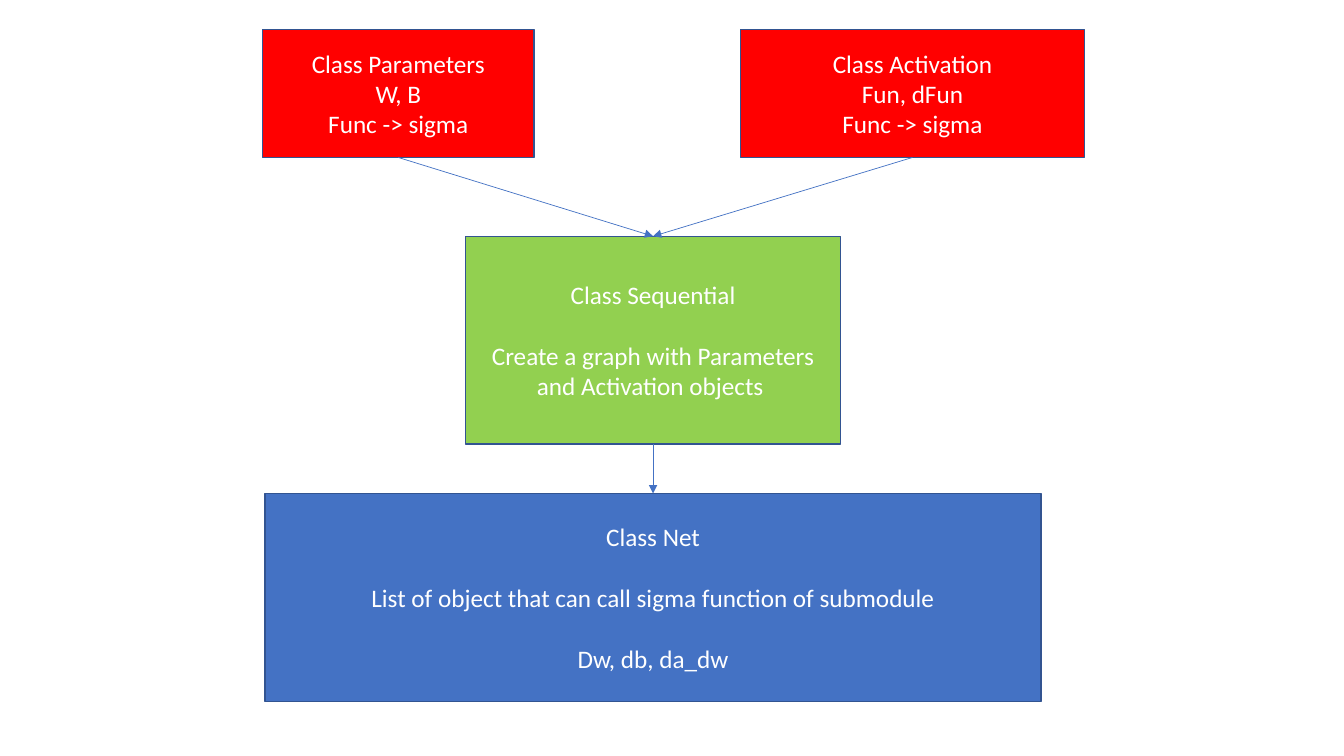
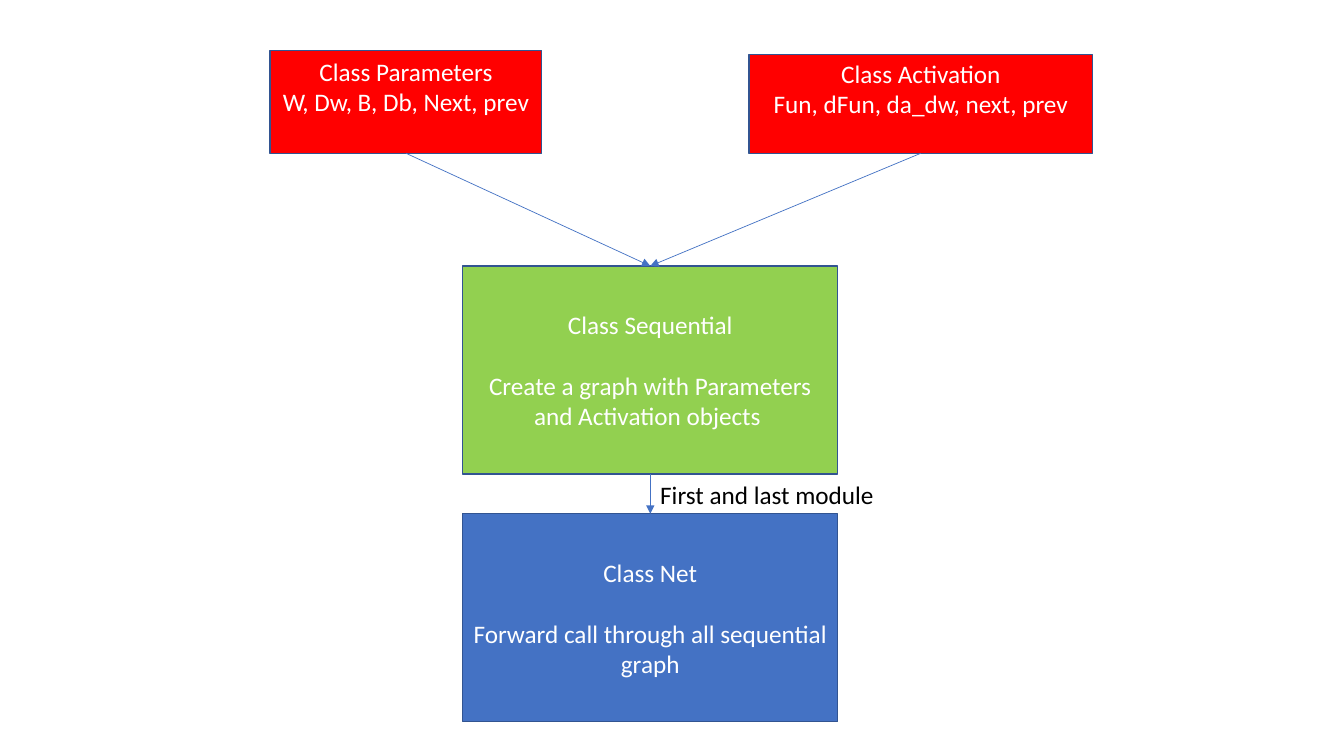
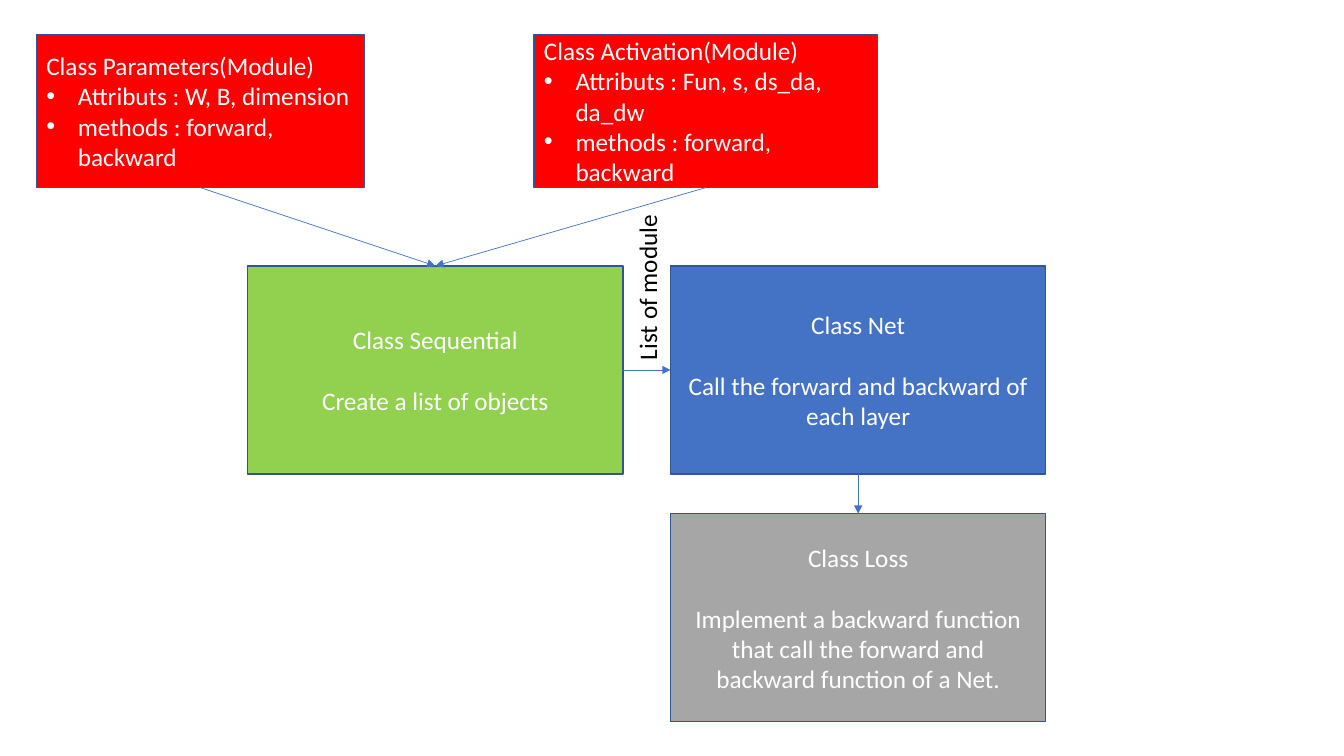
"""Builds three class diagrams of a small neural network library."""
from lxml import etree
from pptx import Presentation
from pptx.dml.color import RGBColor
from pptx.enum.shapes import MSO_CONNECTOR, MSO_SHAPE
from pptx.enum.text import MSO_ANCHOR, MSO_AUTO_SIZE, PP_ALIGN
from pptx.oxml.ns import qn
from pptx.util import Pt

RECTANGLE = MSO_SHAPE.RECTANGLE
STRAIGHT = MSO_CONNECTOR.STRAIGHT
MIDDLE = MSO_ANCHOR.MIDDLE
FIT_SHAPE = MSO_AUTO_SIZE.SHAPE_TO_FIT_TEXT
LEFT, CENTER = PP_ALIGN.LEFT, PP_ALIGN.CENTER

RED = RGBColor(0xFF, 0x00, 0x00)
GREEN = RGBColor(0x92, 0xD0, 0x50)
BLUE = RGBColor(0x44, 0x72, 0xC4)
GRAY = RGBColor(0xA6, 0xA6, 0xA6)
OUTLINE = RGBColor(0x32, 0x54, 0x91)
WHITE = RGBColor(0xFF, 0xFF, 0xFF)
BLACK = RGBColor(0x00, 0x00, 0x00)

FONT = "Calibri"
FONT_SIZE = 18
LINE_HEIGHT = 22
INSET = 3.6
BULLET_INDENT = 22.5
TOP, SIDE_LEFT, BOTTOM, SIDE_RIGHT = range(4)

BOX_WIDTH, BOX_HEIGHT = 268, 148.5
PARAMETERS_WIDTH, ACTIVATION_WIDTH = 194, 245.5
ROW_TOP, LOWER_ROW_TOP = 190, 367
GRAPH_TEXT = ["Class Sequential", "Create a graph with Parameters and Activation objects "]


def add_box(slide, bounds, fill, lines, gap=0, bottom_inset=INSET, bulleted=False):
    shape = slide.shapes.add_shape(RECTANGLE, *map(Pt, bounds))
    shape.shadow.inherit = False
    shape.fill.solid()
    shape.fill.fore_color.rgb = fill
    shape.line.color.rgb = OUTLINE
    shape.line.width = Pt(1)
    frame = shape.text_frame
    frame.word_wrap = True
    frame.vertical_anchor = MIDDLE
    frame.margin_bottom = Pt(bottom_inset)
    for index, line in enumerate(lines):
        paragraph = frame.add_paragraph() if index else frame.paragraphs[0]
        paragraph.text = line
        paragraph.alignment = LEFT if bulleted else CENTER
        if index:
            paragraph.space_before = Pt(gap)
        if index and bulleted:
            properties = paragraph._p.get_or_add_pPr()
            properties.set("marL", str(Pt(BULLET_INDENT)))
            properties.set("indent", str(-Pt(BULLET_INDENT)))
            etree.SubElement(properties, qn("a:buFont"), typeface="Arial")
            etree.SubElement(properties, qn("a:buChar"), char="•")
        paragraph.font.name = FONT
        paragraph.font.size = Pt(FONT_SIZE)
        paragraph.font.color.rgb = WHITE
    return shape


def add_arrow(slide, source, target, source_side=BOTTOM, target_side=TOP):
    connector = slide.shapes.add_connector(STRAIGHT, 0, 0, 0, 0)
    connector.begin_connect(source, source_side)
    connector.end_connect(target, target_side)
    connector.line.color.rgb = BLUE
    connector.line.width = Pt(0.5)
    etree.SubElement(connector.line._get_or_add_ln(), qn("a:tailEnd"), type="triangle")
    etree.SubElement(connector._element.spPr, qn("a:effectLst"))


presentation = Presentation()
presentation.slide_width = Pt(960)
presentation.slide_height = Pt(540)
blank_layout = presentation.slide_layouts[6]
first, second, third = [presentation.slides.add_slide(blank_layout) for _ in range(3)]

parameters = add_box(first, (187.5, 21, PARAMETERS_WIDTH, 91.5), RED,
                     ["Class Parameters", "W, B", "Func -> sigma"])
activation = add_box(first, (529, 21, ACTIVATION_WIDTH, 91.5), RED,
                     ["Class Activation", "Fun, dFun", "Func -> sigma"])
sequential = add_box(first, (332.5, 168.75, BOX_WIDTH, BOX_HEIGHT), GREEN, GRAPH_TEXT, LINE_HEIGHT)
net = add_box(first, (189.25, 352.5, 554.5, BOX_HEIGHT), BLUE,
              ["Class Net", "List of object that can call sigma function of submodule",
               "Dw, db, da_dw"], LINE_HEIGHT)
for source, target in ((parameters, sequential), (activation, sequential), (sequential, net)):
    add_arrow(first, source, target)

parameters = add_box(second, (193, 36, PARAMETERS_WIDTH, 73.5), RED,
                     ["Class Parameters", "W, Dw, B, Db, Next, prev"],
                     bottom_inset=INSET + LINE_HEIGHT)
activation = add_box(second, (535, 39, ACTIVATION_WIDTH, 70.5), RED,
                     ["Class Activation", "Fun, dFun, da_dw, next, prev"],
                     bottom_inset=INSET + LINE_HEIGHT)
sequential = add_box(second, (330.5, ROW_TOP, BOX_WIDTH, BOX_HEIGHT), GREEN, GRAPH_TEXT, LINE_HEIGHT)
net = add_box(second, (330.5, LOWER_ROW_TOP, BOX_WIDTH, BOX_HEIGHT), BLUE,
              ["Class Net", "Forward call through all sequential graph"], LINE_HEIGHT)
for source, target in ((parameters, sequential), (activation, sequential), (sequential, net)):
    add_arrow(second, source, target)

parameters = add_box(third, (26, 24.5, 234, 109.5), RED,
                     ["Class Parameters(Module)", "Attributs : W, B, dimension",
                      "methods : forward, backward"], bulleted=True)
activation = add_box(third, (381.5, 24.5, ACTIVATION_WIDTH, 109.5), RED,
                     ["Class Activation(Module)", "Attributs : Fun, s, ds_da, da_dw",
                      "methods : forward, backward"], bulleted=True)
sequential = add_box(third, (177, ROW_TOP, BOX_WIDTH, BOX_HEIGHT), GREEN,
                     ["Class Sequential", "Create a list of objects"], LINE_HEIGHT)
net = add_box(third, (479, ROW_TOP, BOX_WIDTH, BOX_HEIGHT), BLUE,
              ["Class Net", "Call the forward and backward of each layer"], LINE_HEIGHT)
loss = add_box(third, (479, LOWER_ROW_TOP, BOX_WIDTH, BOX_HEIGHT), GRAY,
               ["Class Loss", "Implement a backward function that call the forward and "
                "backward function of a Net."], LINE_HEIGHT)
for source, target in ((parameters, sequential), (activation, sequential), (net, loss)):
    add_arrow(third, source, target)
add_arrow(third, sequential, net, SIDE_RIGHT, SIDE_LEFT)

for slide, text, bounds, rotation in (
    (second, "First and last module", (464.5, 338.5, 168.5, 29), 0),
    (third, "List of module", (402.5, ROW_TOP, 119.5, 29), 270),
):
    label = slide.shapes.add_textbox(*map(Pt, bounds))
    label.rotation = rotation
    label.text_frame.word_wrap = False
    label.text_frame.auto_size = FIT_SHAPE
    paragraph = label.text_frame.paragraphs[0]
    paragraph.text = text
    paragraph.font.name = FONT
    paragraph.font.size = Pt(FONT_SIZE)
    paragraph.font.color.rgb = BLACK

presentation.save("out.pptx")
